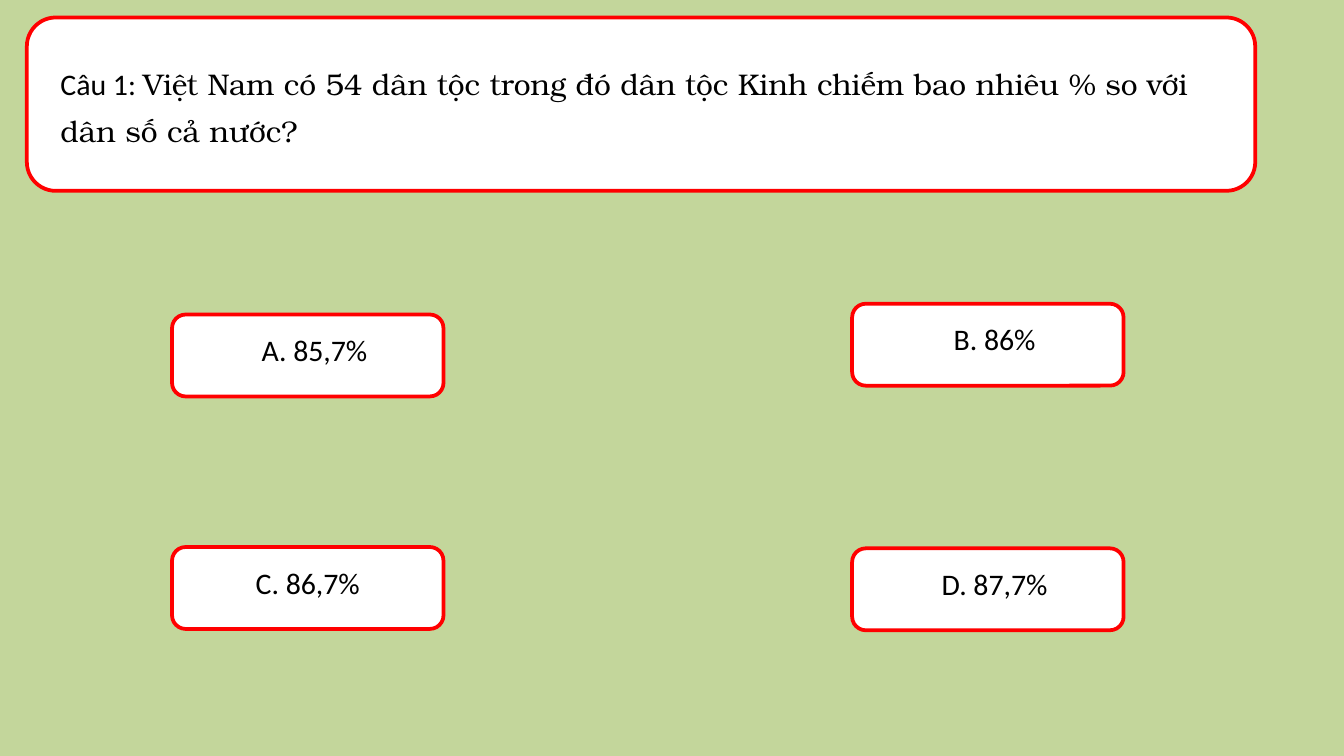
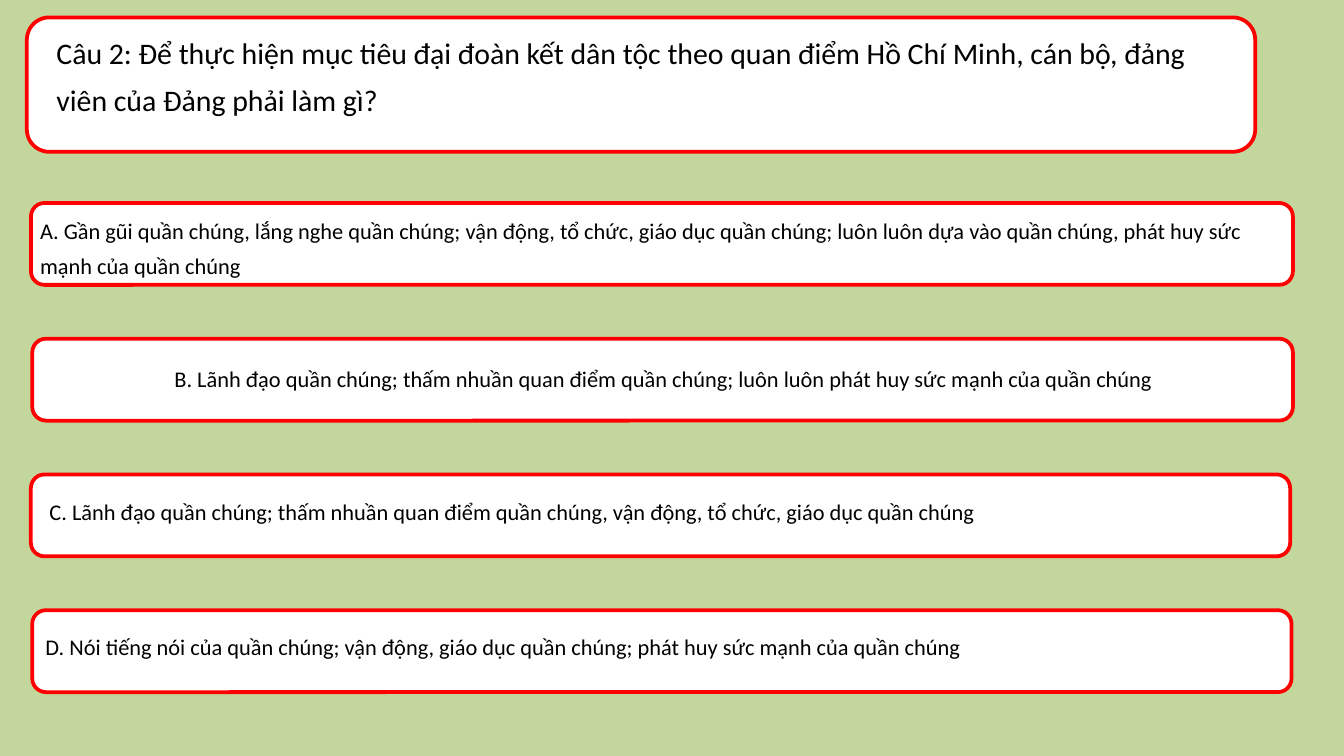
from pptx import Presentation
from pptx.dml.color import RGBColor
from pptx.enum.shapes import MSO_SHAPE
from pptx.enum.text import MSO_ANCHOR, MSO_AUTO_SIZE, PP_ALIGN
from pptx.util import Inches, Pt

ROUNDED = MSO_SHAPE.ROUNDED_RECTANGLE
TOP = MSO_ANCHOR.TOP
NO_FIT = MSO_AUTO_SIZE.NONE
LEFT, CENTER = PP_ALIGN.LEFT, PP_ALIGN.CENTER

GREEN, WHITE, RED, BLACK = "C3D69B", "FFFFFF", "FF0000", "000000"
SANS, SERIF = "Calibri", "TeX Gyre Bonum"
TITLE_ONLY = 5
SLIDE_WIDTH = 10
SLIDE_HEIGHT = SLIDE_WIDTH * 9 / 16
CARD_HEIGHT = 0.61

PERCENT_ANSWERS = [
    ("A. 85,7%", 1.28, 2.34, 0.1),
    ("B. 86%", 6.34, 2.26, 0.1),
    ("C. 86,7%", 1.28, 4.07, 0.05),
    ("D. 87,7%", 6.34, 4.08, 0.1),
]

SENTENCE_ANSWERS = [
    ("A. Gần gũi quần chúng, lắng nghe quần chúng; vận động, tổ chức, giáo dục quần chúng; "
     "luôn luôn dựa vào quần chúng, phát huy sức mạnh của quần chúng",
     0.23, 9.39, (-0.03, 0, 9.42, 0.55), LEFT),
    ("B. Lãnh đạo quần chúng; thấm nhuần quan điểm quần chúng; "
     "luôn luôn phát huy sức mạnh của quần chúng",
     0.24, 9.38, (0.01, 0.09, 9.38, 0.31), CENTER),
    ("C. Lãnh đạo quần chúng; thấm nhuần quan điểm quần chúng, "
     "vận động, tổ chức, giáo dục quần chúng",
     0.23, 9.37, (0.04, 0.07, 9.33, 0.55), LEFT),
    ("D. Nói tiếng nói của quần chúng; vận động, giáo dục quần chúng; "
     "phát huy sức mạnh của quần chúng",
     0.24, 9.37, (0, 0.06, 9.34, 0.55), LEFT),
]


def paint(color_format, hex_color):
    """Give a fill, line or font colour its hex value."""
    color_format.rgb = RGBColor.from_string(hex_color)


def add_card(shapes, left, top, width, height):
    """Draw the white rounded card with a red outline."""
    card = shapes.add_shape(ROUNDED, Inches(left), Inches(top), Inches(width), Inches(height))
    card.shadow.inherit = False
    card.fill.solid()
    paint(card.fill.fore_color, WHITE)
    paint(card.line.color, RED)
    card.line.width = Pt(2)
    return card


def write(frame, parts, size, align):
    """Fill a frame with one paragraph of (text, font) parts."""
    frame.word_wrap = True
    frame.auto_size = NO_FIT
    frame.vertical_anchor = TOP
    paragraph = frame.paragraphs[0]
    paragraph.alignment = align
    paragraph.line_spacing = 1.3
    for text, font_name in parts:
        run = paragraph.add_run()
        run.text = text
        run.font.name = font_name
        run.font.size = Pt(size)
        paint(run.font.color, BLACK)


def add_question(slide, parts, card_height, text_box):
    """Place the question title on its card; text_box is relative to the card."""
    left, top = 0.2, 0.13
    card = add_card(slide.shapes, left, top, 9.14, card_height)
    dx, dy, width, height = text_box
    title = slide.shapes.title
    title.left, title.top = Inches(left + dx), Inches(top + dy)
    title.width, title.height = Inches(width), Inches(height)
    write(title.text_frame, parts, 16, LEFT)
    title.element.addprevious(card.element)


def add_answer(slide, text, left, top, width, text_box, size, align):
    """Group an answer's card and text; text_box is relative to the card."""
    answer = slide.shapes.add_group_shape()
    add_card(answer.shapes, left, top, width, CARD_HEIGHT)
    dx, dy, text_width, text_height = text_box
    label = answer.shapes.add_textbox(
        Inches(left + dx), Inches(top + dy), Inches(text_width), Inches(text_height))
    write(label.text_frame, [(text, SANS)], size, align)


def build_percent_slide(prs):
    """Build question 1 with four short answers in two columns."""
    slide = prs.slides.add_slide(prs.slide_layouts[TITLE_ONLY])
    question = [
        ("Câu 1: ", SANS),
        ("Việt Nam có 54 dân tộc trong đó dân tộc Kinh chiếm bao nhiêu % "
         "so với dân số cả nước?", SERIF),
    ]
    add_question(slide, question, 1.29, (0.15, 0.23, 8.92, 0.93))
    for text, left, top, dx in PERCENT_ANSWERS:
        add_answer(slide, text, left, top, 2.02, (dx, 0, 1.92, 0.55), 16, CENTER)


def build_sentence_slide(prs):
    """Build question 2 with four full-width answers at an equal pitch."""
    slide = prs.slides.add_slide(prs.slide_layouts[TITLE_ONLY])
    question = [
        ("Câu 2: Để thực hiện mục tiêu đại đoàn kết dân tộc theo quan điểm Hồ Chí Minh, "
         "cán bộ, đảng viên của Đảng phải làm gì?", SANS),
    ]
    add_question(slide, question, 1, (0.12, 0, 9.01, 1.16))
    for row, (text, left, width, text_box, align) in enumerate(SENTENCE_ANSWERS):
        add_answer(slide, text, left, 1.51 + row * 1.01, width, text_box, 12, align)


def main():
    """Build the quiz and save it."""
    prs = Presentation()
    prs.slide_width, prs.slide_height = Inches(SLIDE_WIDTH), Inches(SLIDE_HEIGHT)
    backdrop = prs.slide_master.background.fill
    backdrop.solid()
    paint(backdrop.fore_color, GREEN)
    build_percent_slide(prs)
    build_sentence_slide(prs)
    prs.save("out.pptx")


if __name__ == "__main__":
    main()
